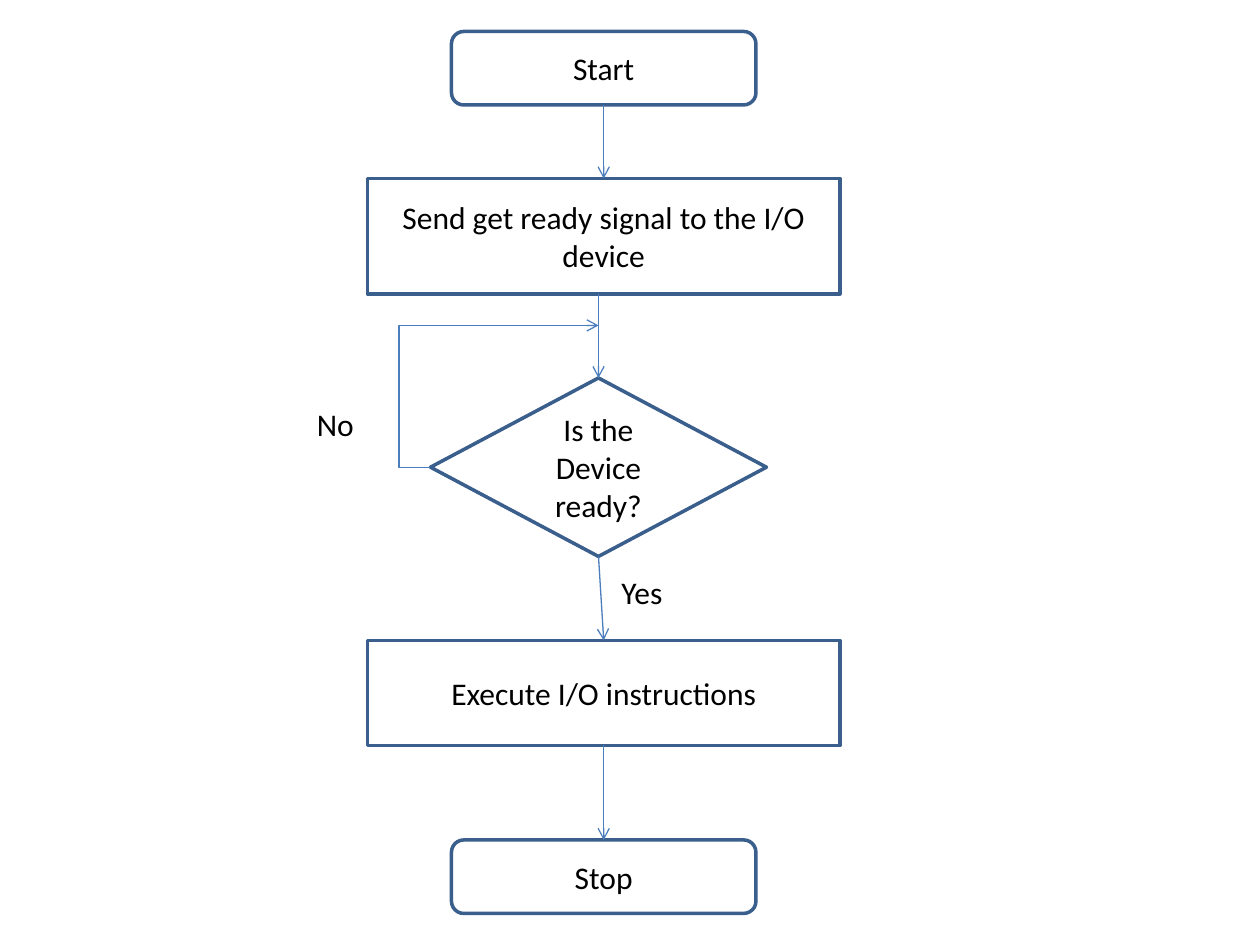
from lxml import etree
from pptx import Presentation
from pptx import util as u
from pptx.dml import color
from pptx.enum import shapes, text
from pptx.oxml import ns

COLORS = {"outline": "3A5F8C", "arrow": "4B7EBC", "text": "000000"}
TOP, BOTTOM = 0, 2


def rgb(name):
    return color.RGBColor.from_string(COLORS[name])


def points(*values):
    return [u.Pt(value) for value in values]


def write(box, words, align):
    frame = box.text_frame
    frame.word_wrap = True
    frame.text = words
    para = frame.paragraphs[0]
    para.alignment = align
    for span in para.runs:
        span.font.name = "Calibri"
        span.font.size = u.Pt(18)
        span.font.color.rgb = rgb("text")


def add_step(page, kind, words, center, top, width, height):
    step = page.shapes.add_shape(kind, *points(center - width / 2, top, width, height))
    step.shadow.inherit = False
    step.fill.background()
    step.line.color.rgb = rgb("outline")
    step.line.width = u.Pt(2)
    write(step, words, text.PP_ALIGN.CENTER)
    step.text_frame.vertical_anchor = text.MSO_ANCHOR.MIDDLE
    return step


def add_label(page, words, left, top):
    label = page.shapes.add_textbox(*points(left, top, 42, 29))
    write(label, words, text.PP_ALIGN.LEFT)
    label.text_frame.auto_size = text.MSO_AUTO_SIZE.SHAPE_TO_FIT_TEXT


def add_arrow(page, kind, start=(0, 0), end=(0, 0)):
    arrow = page.shapes.add_connector(kind, *points(*start, *end))
    arrow.line.color.rgb = rgb("arrow")
    arrow.line.width = u.Pt(0.75)
    head = etree.SubElement(arrow.line._get_or_add_ln(), ns.qn("a:tailEnd"))
    head.set("type", "arrow")
    etree.SubElement(arrow._element.spPr, ns.qn("a:effectLst"))
    return arrow


def join(page, upper, lower):
    arrow = add_arrow(page, shapes.MSO_CONNECTOR.STRAIGHT)
    arrow.begin_connect(upper, BOTTOM)
    arrow.end_connect(lower, TOP)


def add_loop(page, start, end, turn):
    arrow = add_arrow(page, shapes.MSO_CONNECTOR.ELBOW, start, end)
    ratio = (turn - start[0]) / (end[0] - start[0])
    values = arrow._element.spPr.find(".//" + ns.qn("a:avLst"))
    guide = etree.SubElement(values, ns.qn("a:gd"))
    guide.set("name", "adj1")
    guide.set("fmla", f"val {round(ratio * 100000)}")


def main():
    deck = Presentation()
    deck.slide_width, deck.slide_height = points(720, 540)
    page = deck.slides.add_slide(deck.slide_layouts[6])

    kinds = shapes.MSO_SHAPE
    flow = [
        (kinds.ROUNDED_RECTANGLE, "Start", 345, 18, 174, 42),
        (kinds.RECTANGLE, "Send get ready signal to the I/O device", 345, 102, 270, 66),
        (kinds.FLOWCHART_DECISION, "Is the Device ready?", 342, 216, 192, 102),
        (kinds.RECTANGLE, "Execute I/O instructions", 345, 366, 270, 60),
        (kinds.ROUNDED_RECTANGLE, "Stop", 345, 480, 174, 42),
    ]
    steps = [add_step(page, *step) for step in flow]
    send, decision = 1, 2
    for index, (upper, lower) in enumerate(zip(steps, steps[1:])):
        if index == send:
            arrow = add_arrow(page, shapes.MSO_CONNECTOR.STRAIGHT, (342, 168), (342, 216))
            arrow.end_connect(steps[decision], TOP)
        else:
            join(page, upper, lower)
    add_loop(page, (246, 267), (342, 186), 228)

    add_label(page, "Yes", 348, 324)
    add_label(page, "No", 174, 228)
    deck.save("out.pptx")


main()
